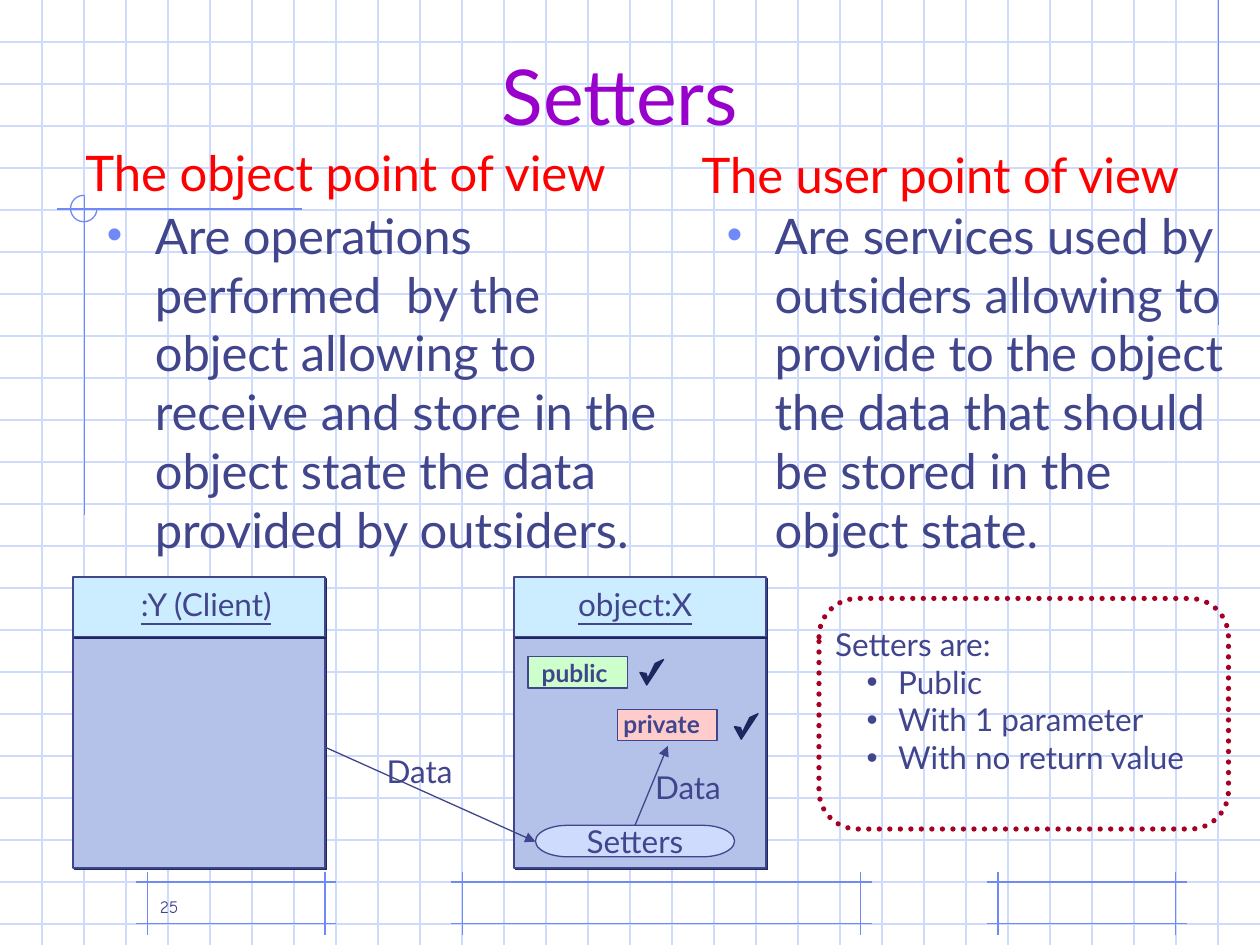
from lxml.etree import SubElement
from pptx import Presentation
from pptx.dml.color import RGBColor
from pptx.enum.dml import MSO_LINE
from pptx.enum.shapes import MSO_CONNECTOR, MSO_SHAPE as Kind
from pptx.enum.text import MSO_ANCHOR as Anchor, MSO_AUTO_SIZE as Auto, PP_ALIGN as Align
from pptx.oxml.ns import qn
from pptx.util import Inches, Pt

INK, NAVY, PALE, BLUE = "40458C", "1B285F", "CFDBFD", "6F89F7"
WIDE, HIGH, STEP = 10, 7.5, 1 / 3

TITLE = "Setters"
VIEWS = [
    ("The object point of view", (0.58, 1.08, 4.54, 0.57),
     "Are operations performed  by the object allowing to receive and store "
     "in the object state the data provided by outsiders.", (0.75, 1.58, 4.75, 4.5)),
    ("The user point of view", (5.47, 1.1, 4.23, 0.57),
     "Are services used by outsiders allowing to provide to the object the "
     "data that should be stored in the object state.", (5.67, 1.58, 4.33, 4.5)),
]
CLASSES = [(4.08, "object:X", (4.49, 4.59, 1.13, 0.4)),
           (0.58, ":Y (Client)", (1.02, 4.59, 1.29, 0.4))]
TAGS = [("public", "CCFFCC", (4.19, 5.21), (4.2, 5.17, 0.79, 0.34), (5.08, 5.22)),
        ("private", "FFCCCC", (4.9, 5.63), (4.85, 5.58, 0.9, 0.34), (5.83, 5.65))]
TICK = [(0, 0.13), (0.05, 0.13), (0.07, 0.17), (0.11, 0.04), (0.17, 0), (0.07, 0.22)]
ARROWS = [(5.04, 6.55, 5.3, 5.92), (2.58, 5.93, 4.25, 6.68)]
FLOWS = [(2.97, 5.92, 0.75, 0.4), (5.1, 6.05, 0.75, 0.4)]
NOTE = "Setters are:"
TRAITS = ["Public", "With 1 parameter", "With no return value"]
FRAMES = [(3.58, 6.92), (7.83, 9.42), (1.08, 2.67)]
RULES = [(9.67, 0, 9.67, 2.58), (2.4, 1.66, 0.45, 1.66), (0.67, 1.55, 0.67, 4.09)]

deck = Presentation()
deck.slide_width, deck.slide_height = Inches(WIDE), Inches(HIGH)
slide = deck.slides.add_slide(deck.slide_layouts[5])
shapes = slide.shapes


def rgb(code):
    return RGBColor.from_string(code)


def inch(nums):
    return [Inches(n) for n in nums]


def line(ends, color, arrow=False):
    link = shapes.add_connector(MSO_CONNECTOR.STRAIGHT, *inch(ends))
    link.line.color.rgb = rgb(color)
    link.line.width = Pt(0.75)
    if arrow:
        SubElement(link.line._get_or_add_ln(), qn("a:tailEnd"), type="triangle")
    SubElement(link._element.spPr, qn("a:effectLst"))


def style(item, fill, color=INK, width=0.75):
    item.shadow.inherit = False
    if fill:
        item.fill.solid()
        item.fill.fore_color.rgb = rgb(fill)
    else:
        item.fill.background()
    item.line.color.rgb = rgb(color)
    item.line.width = Pt(width)
    return item


def shape(kind, area, fill, color=INK, width=0.75):
    return style(shapes.add_shape(kind, *inch(area)), fill, color, width)


def shade(item):
    glow = SubElement(item._element.spPr.find(qn("a:effectLst")), qn("a:outerShdw"),
                      dist="17780", dir="2700000", algn="ctr", rotWithShape="0")
    SubElement(glow, qn("a:srgbClr"), val=NAVY)


def write(para, text, size, color=INK, face="Lato", bold=False, under=False):
    run = para.add_run()
    run.text = text
    font = run.font
    font.size, font.name, font.color.rgb = Pt(size), face, rgb(color)
    font.bold, font.underline = bold, under


def bullet(para, left, hang, color, scale=100):
    props = para._p.get_or_add_pPr()
    props.set("marL", str(Inches(left)))
    props.set("indent", str(Inches(-hang)))
    SubElement(SubElement(props, qn("a:buClr")), qn("a:srgbClr"), val=color)
    SubElement(props, qn("a:buSzPct"), val=str(scale * 1000))
    SubElement(props, qn("a:buFont"), typeface="Arial")
    SubElement(props, qn("a:buChar"), char="•")


def box(area, wrap=False):
    frame = shapes.add_textbox(*inch(area)).text_frame
    frame.word_wrap = wrap
    frame.auto_size = Auto.NONE if wrap else Auto.SHAPE_TO_FIT_TEXT
    return frame


def label(area, text, size, **look):
    write(box(area).paragraphs[0], text, size, **look)


def grid():
    for n in range(1, 23):
        line((0, n * STEP, WIDE, n * STEP), PALE)
    for n in range(1, 30):
        line((n * STEP, 0, n * STEP, HIGH), PALE)
    for left, right in FRAMES:
        for y in (7, 7.33):
            line((left, y, right, y), BLUE)
        for x in (left + 0.09, right - 0.09):
            line((x, 6.92, x, 7.42), BLUE)
    for ends in RULES:
        line(ends, BLUE)
    arc = shape(Kind.ARC, (0.56, 1.55, 0.21, 0.21), None, BLUE)
    arc.adjustments[0], arc.adjustments[1] = 0, 162


def heads():
    title = shapes.title
    shapes._spTree.append(title._element)
    title.left, title.top, title.width, title.height = inch((0.67, 0.25, 8.5, 0.92))
    title.text_frame.vertical_anchor = Anchor.BOTTOM
    para = title.text_frame.paragraphs[0]
    para.alignment = Align.CENTER
    write(para, TITLE, 44, "9900CC")
    for head, spot, text, area in VIEWS:
        para = box(area, True).paragraphs[0]
        bullet(para, 0.38, 0.38, BLUE, 90)
        write(para, text, 28)
        label(spot, head, 28, color="FF0000")


def diagram():
    for left, name, spot in CLASSES:
        shade(shape(Kind.RECTANGLE, (left, 4.97, 2, 1.92), "B4C2EA"))
        shade(shape(Kind.RECTANGLE, (left, 4.58, 2, 0.47), "CCECFF"))
        label(spot, name, 18, under=True)
    for name, fill, (left, top), spot, (x, y) in TAGS:
        shape(Kind.RECTANGLE, (left, top, 0.79, 0.25), fill)
        label(spot, name, 14, bold=True)
        dots = [inch((x + dx, y + dy)) for dx, dy in TICK]
        path = shapes.build_freeform(*dots[0])
        path.add_line_segments(dots[1:], close=True)
        style(path.convert_to_shape(), NAVY, NAVY).rotation = 8.9
    for ends in ARROWS:
        line(ends, INK, True)
    pill = shape(Kind.FLOWCHART_TERMINATOR, (4.25, 6.55, 1.58, 0.25), PALE).text_frame
    pill.word_wrap, pill.vertical_anchor = False, Anchor.MIDDLE
    pill.paragraphs[0].alignment = Align.CENTER
    write(pill.paragraphs[0], TITLE, 18)
    for area in FLOWS:
        label(area, "Data", 18)


def note():
    frame = box((6.53, 4.91, 3.21, 1.6))
    write(frame.paragraphs[0], NOTE, 18)
    for trait in TRAITS:
        para = frame.add_paragraph()
        para.level = 1
        bullet(para, 0.5, 0.25, INK)
        write(para, trait, 18)
    edge = shape(Kind.ROUNDED_RECTANGLE, (6.5, 4.75, 3.25, 1.83), None, "A50021", 3)
    edge.line.dash_style = MSO_LINE.ROUND_DOT
    edge.line._get_or_add_ln().set("cap", "rnd")


grid()
heads()
diagram()
note()
foot = box((1.17, 6.83, 2.08, 0.5), True)
foot.vertical_anchor = Anchor.BOTTOM
write(foot.paragraphs[0], "25", 10, face="Comic Neue")
deck.save("out.pptx")
